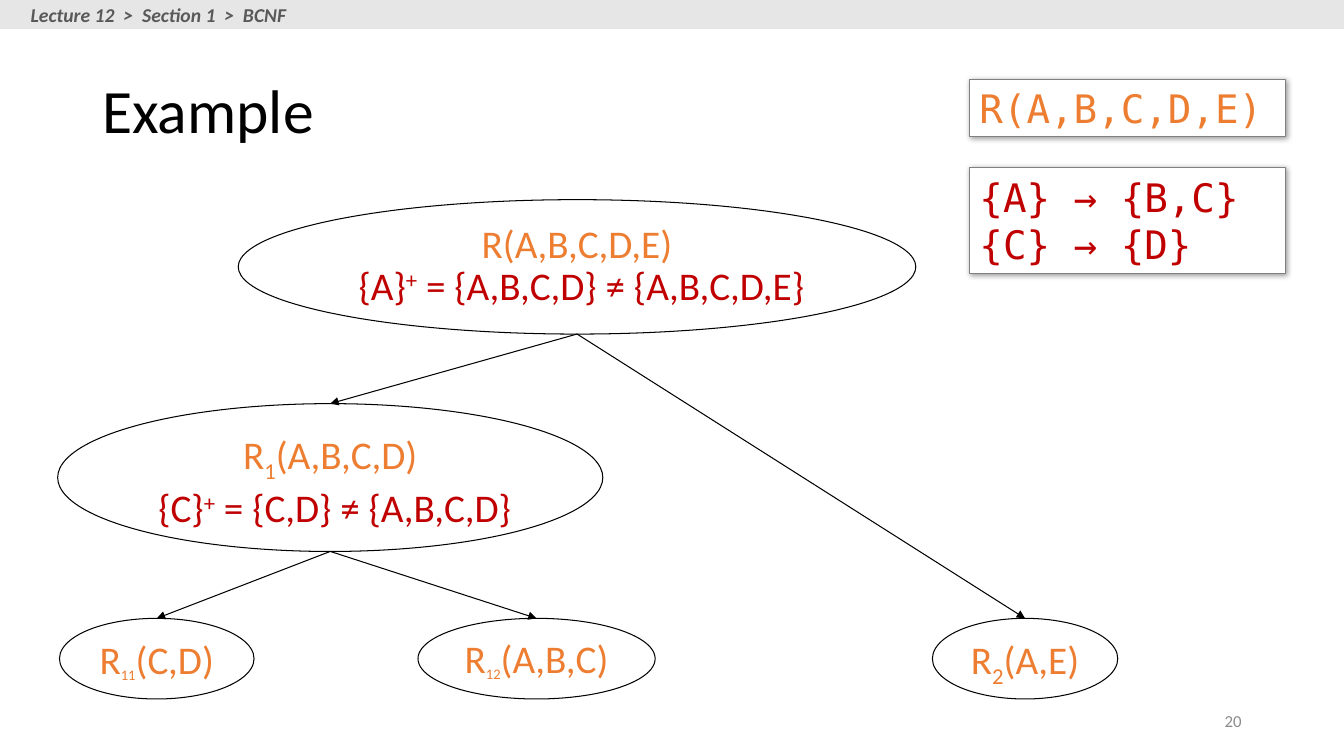
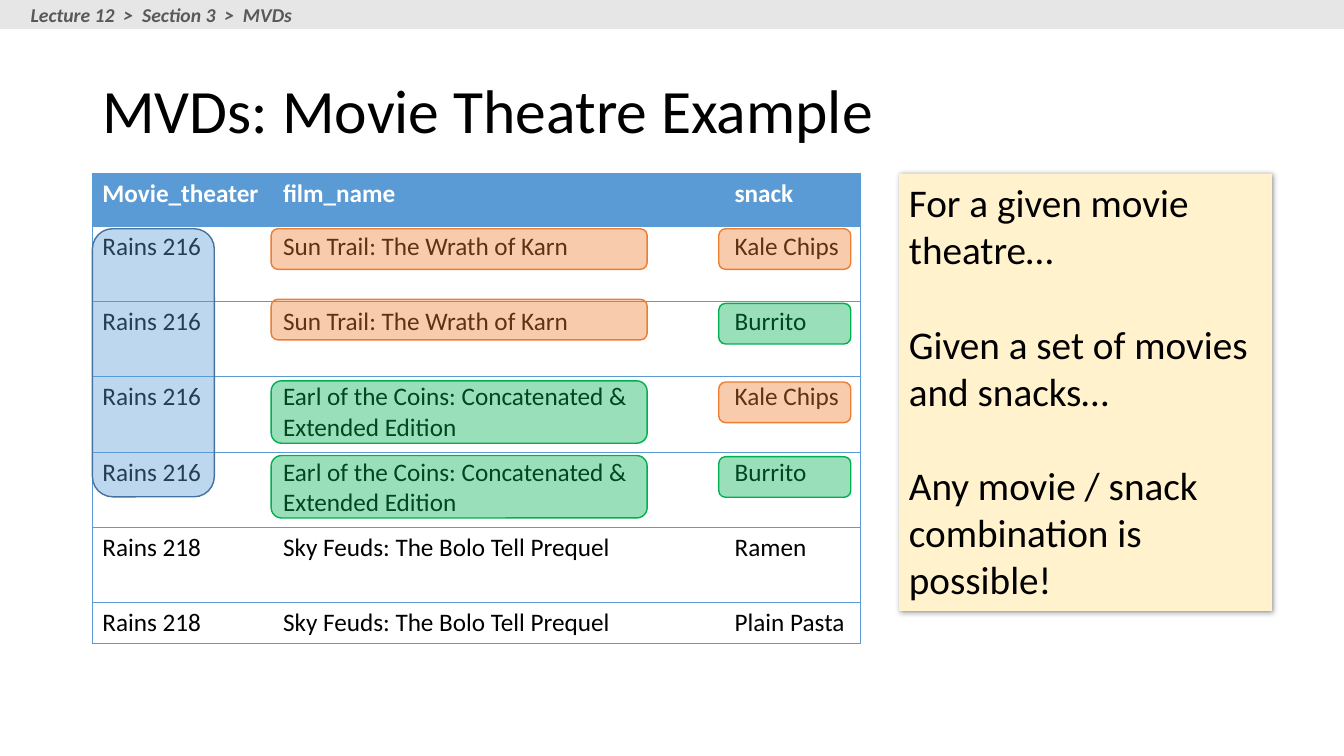
from dataclasses import dataclass
from itertools import product

from lxml import etree
from pptx import Presentation
from pptx.dml.color import RGBColor
from pptx.enum.shapes import MSO_CONNECTOR, MSO_SHAPE
from pptx.enum.text import MSO_ANCHOR, PP_ALIGN
from pptx.oxml.ns import qn
from pptx.util import Pt

ELLIPSE = MSO_SHAPE.OVAL
RECTANGLE = MSO_SHAPE.RECTANGLE
ROUNDED = MSO_SHAPE.ROUNDED_RECTANGLE
STRAIGHT = MSO_CONNECTOR.STRAIGHT
TOP, MIDDLE = MSO_ANCHOR.TOP, MSO_ANCHOR.MIDDLE
LEFT, CENTER, RIGHT = PP_ALIGN.LEFT, PP_ALIGN.CENTER, PP_ALIGN.RIGHT


@dataclass(frozen=True)
class Theme:
    font: str = "Calibri"
    code_font: str = "DejaVu Sans Mono"
    black: str = "000000"
    white: str = "FFFFFF"
    band: str = "E7E6E6"
    breadcrumb: str = "595959"
    number: str = "8C8C8C"
    box_line: str = "808080"
    orange: str = "ED7D31"
    red: str = "C00000"
    green: str = "00B050"
    blue: str = "5B9BD5"
    dark_blue: str = "43739E"
    cream: str = "FFF2CC"
    title_size: float = 44
    body_size: float = 28
    index_size: float = 18
    table_size: float = 18
    breadcrumb_size: float = 14
    number_size: float = 12


THEME = Theme()
SLIDE_WIDTH, SLIDE_HEIGHT = 960, 540


def draw(slide, kind, box, fill=None, line=None, weight=0.75, opacity=None, shadow=False):
    """Add a preset shape, or a text box when kind is None; box is left, top, width, height."""
    lengths = [Pt(length) for length in box]
    if kind is None:
        return slide.shapes.add_textbox(*lengths)
    shape = slide.shapes.add_shape(kind, *lengths)
    shape.shadow.inherit = False
    properties = shape._element.spPr
    if fill:
        shape.fill.solid()
        shape.fill.fore_color.rgb = RGBColor.from_string(fill)
    else:
        shape.fill.background()
    if opacity:
        colour = properties.find(qn("a:solidFill"))[0]
        etree.SubElement(colour, qn("a:alpha"), val=str(opacity * 1000))
    if line:
        shape.line.color.rgb = RGBColor.from_string(line)
        shape.line.width = Pt(weight)
    else:
        shape.line.fill.background()
    if shadow:
        outer = etree.SubElement(properties.find(qn("a:effectLst")), qn("a:outerShdw"),
                                 blurRad=str(Pt(4)), dist=str(Pt(1)), dir="2700000",
                                 algn="tl", rotWithShape="0")
        colour = etree.SubElement(outer, qn("a:srgbClr"), val=THEME.black)
        etree.SubElement(colour, qn("a:alpha"), val="40000")
    return shape


def write(frame, paragraphs, size, colour, font=THEME.font, align=LEFT, anchor=TOP,
          wrap=True, bold=False, italic=False, spacing=None, gap=0):
    """Fill a text frame; each paragraph lists runs of (text, colour, baseline, size)."""
    frame.word_wrap = wrap
    frame.vertical_anchor = anchor
    for position, runs in enumerate(paragraphs):
        paragraph = frame.add_paragraph() if position else frame.paragraphs[0]
        paragraph.alignment = align
        if spacing:
            paragraph.line_spacing = spacing
        if position and gap:
            paragraph.space_before = Pt(gap)
        for text, *style in runs:
            run_colour, baseline, run_size = style + [None] * (3 - len(style))
            run = paragraph.add_run()
            run.text = text
            run.font.name = font
            run.font.size = Pt(run_size or size)
            run.font.bold = bold
            run.font.italic = italic
            run.font.color.rgb = RGBColor.from_string(run_colour or colour)
            if baseline:
                run.font._element.set("baseline", str(baseline * 1000))


presentation = Presentation()
presentation.slide_width = Pt(SLIDE_WIDTH)
presentation.slide_height = Pt(SLIDE_HEIGHT)

# Shared frame: band, breadcrumb and title
slides = []
for title, trail in (
    ("Example", ("Lecture 12", "Section 1", "BCNF")),
    ("MVDs: Movie Theatre Example", ("Lecture 12", "Section 3", "MVDs")),
):
    slide = presentation.slides.add_slide(presentation.slide_layouts[6])
    slides.append(slide)
    draw(slide, RECTANGLE, (0, 0, SLIDE_WIDTH, 20.7), fill=THEME.band)
    breadcrumb = draw(slide, None, (14.8, -1.5, 204, 24.2))
    write(breadcrumb.text_frame, [[("  >  ".join(trail),)]], THEME.breadcrumb_size,
          THEME.breadcrumb, wrap=False, bold=True, italic=True)
    heading = draw(slide, None, (66, 28.8, 828, 104.4))
    write(heading.text_frame, [[(title,)]], THEME.title_size, THEME.black,
          anchor=MIDDLE, spacing=0.9)

decomposition, theatre = slides

# Slide 1: decomposition tree
number = draw(decomposition, None, (678, 500.4, 216, 28.8))
write(number.text_frame, [[("20",)]], THEME.number_size, THEME.number, align=RIGHT, anchor=MIDDLE)

LEAF_TOP, LEAF_HEIGHT = 441.7, 57.6
SUBSCRIPT, SUPERSCRIPT = -25, 30
nodes = {}
for name, box, paragraphs, spacing, anchor in (
    ("R", (170.2, 142.6, 484, 96),
     [[("R(A,B,C,D,E)",)],
      [(" {A}", THEME.red), ("+", THEME.red, SUPERSCRIPT),
       (" = {A,B,C,D} ≠ {A,B,C,D,E}", THEME.red)]], 0.9, TOP),
    ("R1", (41.2, 288.3, 389.4, 105.6),
     [[("R",), ("1", None, SUBSCRIPT), ("(A,B,C,D)",)],
      [(" {C}", THEME.red), ("+", THEME.red, SUPERSCRIPT),
       (" = {C,D} ≠ {A,B,C,D}", THEME.red)]], None, TOP),
    ("R2", (666, LEAF_TOP, 132.4, LEAF_HEIGHT),
     [[("R",), ("2", None, SUBSCRIPT), ("(A,E)",)]], None, TOP),
    ("R11", (42.5, LEAF_TOP, 139, LEAF_HEIGHT),
     [[("R",), ("11", None, SUBSCRIPT, THEME.index_size), ("(C,D)",)]], None, TOP),
    ("R12", (298.6, LEAF_TOP, 169.4, LEAF_HEIGHT),
     [[("R",), ("12", None, SUBSCRIPT, THEME.index_size), ("(A,B,C)",)]], None, MIDDLE),
):
    nodes[name] = draw(decomposition, ELLIPSE, box, line=THEME.black)
    write(nodes[name].text_frame, paragraphs, THEME.body_size, THEME.orange, align=CENTER,
          anchor=anchor, wrap=False, spacing=spacing)

for parent_name, child_name in (("R", "R1"), ("R", "R2"), ("R1", "R11"), ("R1", "R12")):
    parent, child = nodes[parent_name], nodes[child_name]
    arrow = decomposition.shapes.add_connector(
        STRAIGHT, parent.left + parent.width // 2, parent.top + parent.height,
        child.left + child.width // 2, child.top)
    arrow.end_connect(child, 0)
    arrow.line.color.rgb = RGBColor.from_string(THEME.black)
    arrow.line.width = Pt(0.75)
    etree.SubElement(arrow.line._get_or_add_ln(), qn("a:tailEnd"), type="triangle")
    etree.SubElement(arrow._element.spPr, qn("a:effectLst"))

for top, height, colour, lines in (
    (56.6, 41, THEME.orange, ["R(A,B,C,D,E)"]),
    (119.9, 75.2, THEME.red, ["{A} → {B,C}", "{C} → {D}"]),
):
    panel = draw(decomposition, RECTANGLE, (692.6, top, 225.4, height), fill=THEME.white,
                 line=THEME.box_line, shadow=True)
    write(panel.text_frame, [[(line,)] for line in lines], THEME.body_size, colour,
          font=THEME.code_font)

# Slide 2: table of showings
TABLE_LEFT, TABLE_TOP = 66, 124
COLUMN_WIDTHS = (129, 322.6, 97)
ROW_HEIGHTS = (37.8, *[53.7] * 5, 29.2)
VOYAGE = "Sun Trail: The Wrath of Karn"
COINS = "Earl of the Coins: Concatenated & Extended Edition"
FEUDS = "Sky Feuds: The Bolo Tell Prequel"
rows = [("Movie_theater", "film_name", "snack")]
rows += [("Rains 216", film, snack)
         for film, snack in product((VOYAGE, COINS), ("Kale Chips", "Burrito"))]
rows += [("Rains 218", FEUDS, snack) for snack in ("Ramen", "Plain Pasta")]

table = theatre.shapes.add_table(
    len(rows), len(COLUMN_WIDTHS), Pt(TABLE_LEFT), Pt(TABLE_TOP),
    Pt(sum(COLUMN_WIDTHS)), Pt(sum(ROW_HEIGHTS))).table
table.horz_banding = False
for column, width in zip(table.columns, COLUMN_WIDTHS):
    column.width = Pt(width)
for row, height in zip(table.rows, ROW_HEIGHTS):
    row.height = Pt(height)

last_column = len(COLUMN_WIDTHS) - 1
for row_index, values in enumerate(rows):
    header = row_index == 0
    for column_index, value in enumerate(values):
        cell = table.cell(row_index, column_index)
        cell_properties = cell._tc.get_or_add_tcPr()
        for side, visible in (("L", column_index == 0), ("R", column_index == last_column),
                              ("T", True), ("B", True)):
            border = etree.SubElement(cell_properties, qn(f"a:ln{side}"), w=str(Pt(0.5)))
            if visible:
                border_fill = etree.SubElement(border, qn("a:solidFill"))
                etree.SubElement(border_fill, qn("a:srgbClr"), val=THEME.blue)
            else:
                etree.SubElement(border, qn("a:noFill"))
        if header:
            cell.fill.solid()
            cell.fill.fore_color.rgb = RGBColor.from_string(THEME.blue)
        else:
            cell.fill.background()
        write(cell.text_frame, [[(value,)]], THEME.table_size,
              THEME.white if header else THEME.black, bold=header)

note = draw(theatre, RECTANGLE, (642.2, TABLE_TOP, 266.4, 312.5), fill=THEME.cream, shadow=True)
write(note.text_frame,
      [[("For a given movie theatre…",)],
       [("Given a set of movies and snacks…",)],
       [("Any movie / snack combination is possible!",)]],
      THEME.body_size, THEME.black, gap=33.7)

# Translucent highlights over the table
draw(theatre, ROUNDED, (TABLE_LEFT, 163.4, 87.1, 191.5), fill=THEME.blue,
     line=THEME.dark_blue, weight=1, opacity=40)
FILM, SNACK = (193.7, 268.6), (513.4, 94.3)
ONE_LINE, TWO_LINES = 29, 44.6
for (left, width), top, height, colour in (
    (FILM, 163.4, ONE_LINE, THEME.orange),
    (FILM, 213.8, ONE_LINE, THEME.orange),
    (FILM, 272, TWO_LINES, THEME.green),
    (FILM, 325.4, TWO_LINES, THEME.green),
    (SNACK, 163.4, ONE_LINE, THEME.orange),
    (SNACK, 216.7, ONE_LINE, THEME.green),
    (SNACK, 272.9, ONE_LINE, THEME.orange),
    (SNACK, 326.2, ONE_LINE, THEME.green),
):
    draw(theatre, ROUNDED, (left, top, width, height), fill=colour, line=colour,
         weight=1, opacity=40)

presentation.save("out.pptx")
